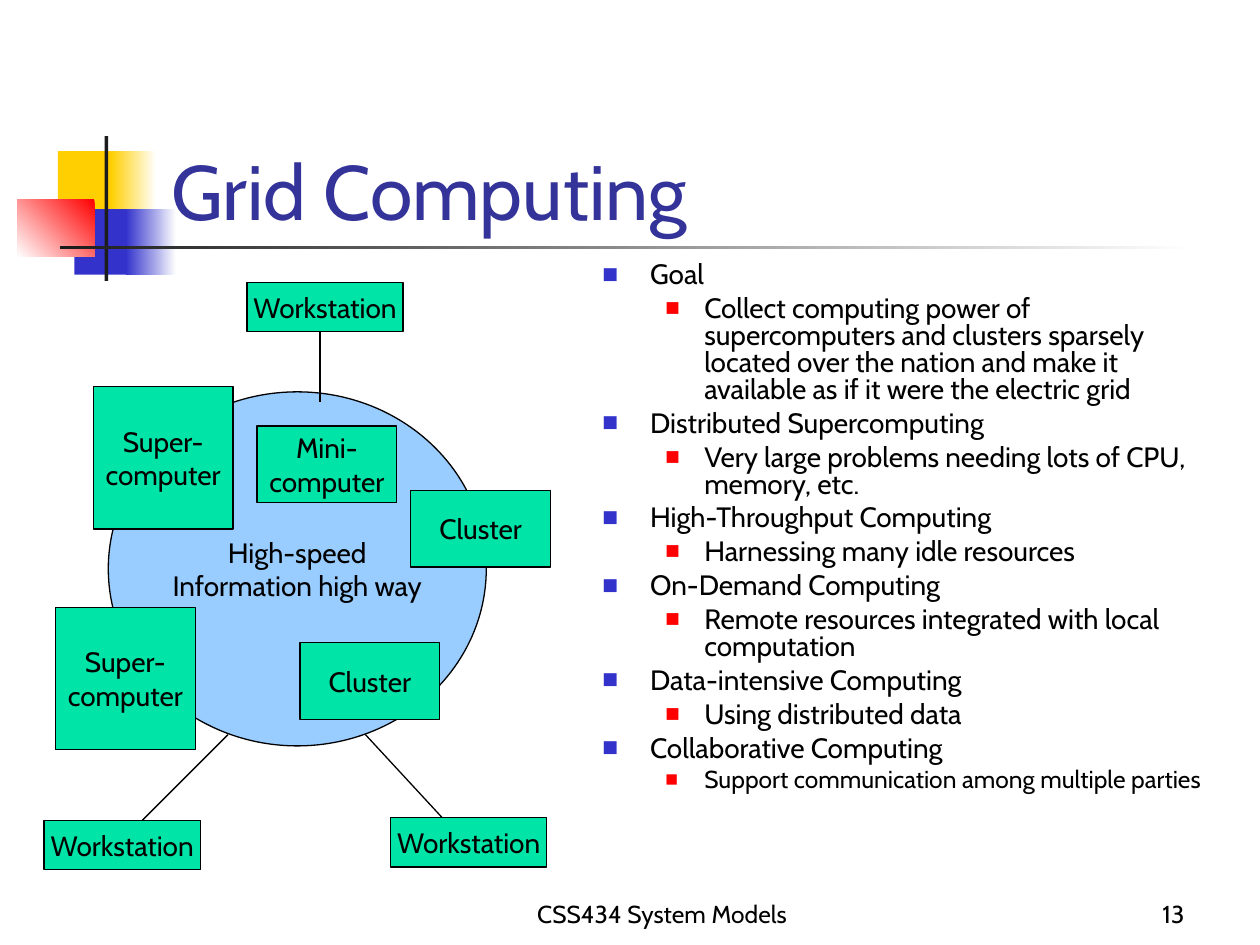
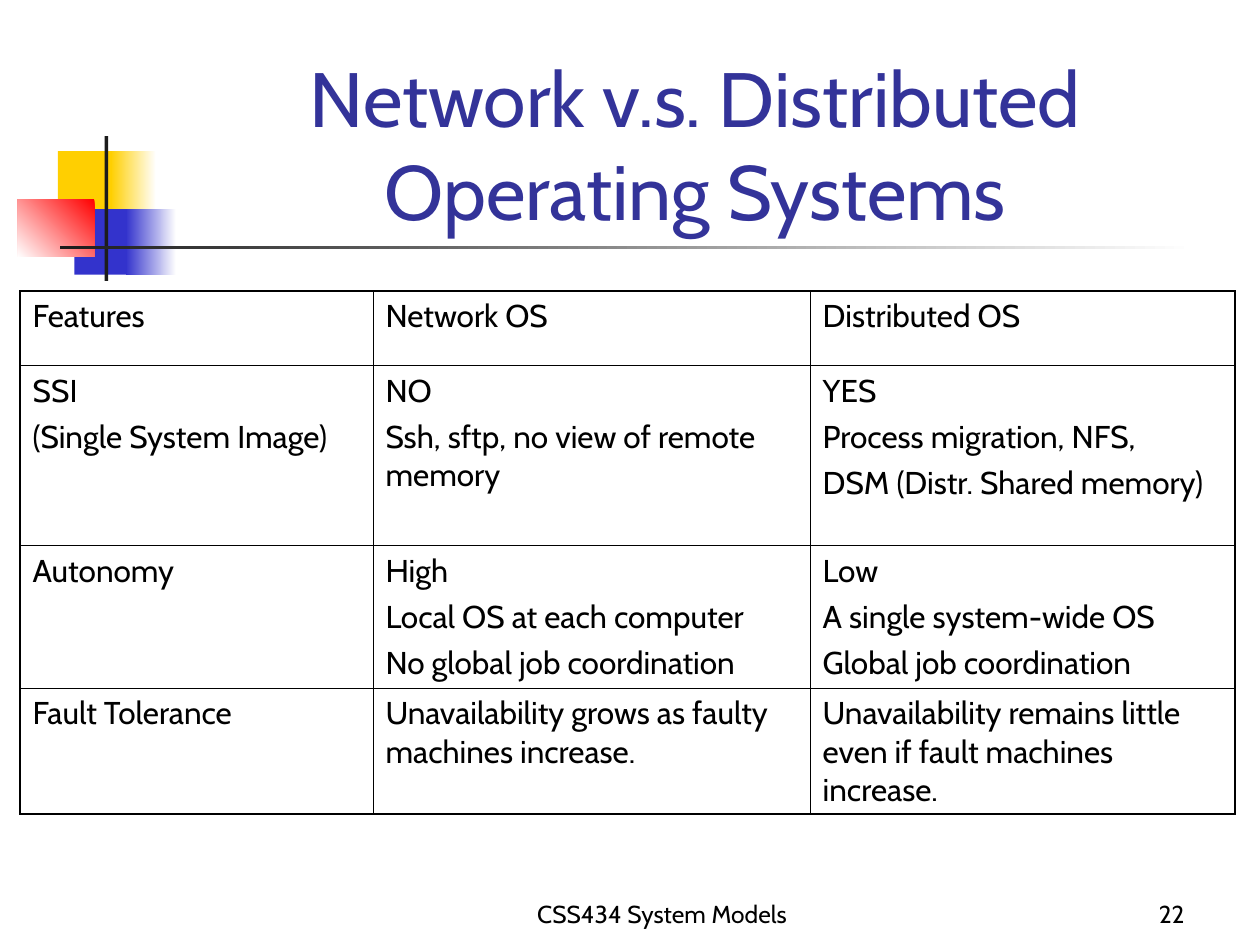
"""Build two lecture slides: a grid computing diagram and an OS comparison table."""
from lxml.etree import SubElement
from pptx import Presentation
from pptx.dml.color import RGBColor
from pptx.enum.shapes import MSO_CONNECTOR, MSO_SHAPE
from pptx.enum.text import MSO_ANCHOR, MSO_AUTO_SIZE, PP_ALIGN
from pptx.oxml import parse_xml
from pptx.oxml.ns import nsdecls, qn
from pptx.util import Inches, Pt

FONT = "Cabin"
HUES = {
    "black": "000000", "white": "FFFFFF", "title": "333399", "gold": "FFCF01",
    "blue": "3333CC", "red": "FF0000", "ink": "1C1C1C", "sky": "99CCFF", "green": "00E4A8",
}
COLS, ROWS = 10, 7.5

deck = Presentation()
deck.slide_width, deck.slide_height = Inches(10), Inches(7.5)
col, row = deck.slide_width / COLS, deck.slide_height / ROWS


def span(left, top, wide, high):
    return round(left * col), round(top * row), round(wide * col), round(high * row)


def write(frame, text, size, hue="black", align=PP_ALIGN.LEFT, gap=0):
    frame.text = text
    for spot, para in enumerate(frame.paragraphs):
        para.alignment = align
        para.space_before = Pt(gap if spot else 0)
        for run in para.runs:
            run.font.name, run.font.size = FONT, Pt(size)
            run.font.color.rgb = RGBColor.from_string(HUES[hue])


heads = [
    ("Grid Computing", "13", 1, PP_ALIGN.LEFT),
    ("Network v.s. Distributed\u0020Operating Systems", "22", 5, PP_ALIGN.CENTER),
]
slides = []
for title, page, kind, align in heads:
    slide = deck.slides.add_slide(deck.slide_layouts[kind])
    slides.append(slide)
    head = slide.shapes.title
    head.left, head.top, head.width, head.height = span(1.26, 0.67, 8.52, 1.25)
    write(head.text_frame, title, 44, "title", align)
    head.text_frame.auto_size = MSO_AUTO_SIZE.NONE
    head.text_frame.vertical_anchor = MSO_ANCHOR.BOTTOM
    for left, wide, text, side in [
        (3.67, 3.17, "CSS434 System Models", PP_ALIGN.CENTER),
        (7.42, 2.08, page, PP_ALIGN.RIGHT),
    ]:
        foot = slide.shapes.add_textbox(*span(left, 6.92, wide, 0.5)).text_frame
        foot.word_wrap = True
        foot.vertical_anchor = MSO_ANCHOR.BOTTOM
        write(foot, text, 14, align=side)

grid, match = slides

bands = [
    ((0.46, 1.2, 0.48, 0.52), ["gold"], 0),
    ((0.88, 1.2, 0.36, 0.52), ["white", "gold"], 180),
    ((0.59, 1.66, 0.46, 0.52), ["blue"], 0),
    ((1, 1.66, 0.4, 0.52), ["white", "blue"], 180),
    ((0.14, 1.58, 0.61, 0.46), ["red", "white"], 225),
    ((0.83, 1.08, 0.03, 1.15), ["ink"], 0),
    ((0.48, 1.95, 9, 0.03), ["white", "ink"], 180),
]
for mark, (box, tones, angle) in enumerate(bands, 20):
    band = grid.shapes.add_shape(MSO_SHAPE.RECTANGLE, *span(*box))
    band.shadow.inherit = False
    band.line.fill.background()
    if angle:
        band.fill.gradient()
        band.fill.gradient_angle = angle
        for stop, tone in zip(band.fill.gradient_stops, tones):
            stop.color.rgb = RGBColor.from_string(HUES[tone])
    else:
        band.fill.solid()
        band.fill.fore_color.rgb = RGBColor.from_string(HUES[tones[0]])
    band.element.nvSpPr.cNvPr.set("id", str(mark))
    deck.slide_master.shapes.element.append(band.element)

points = [
    ("Goal", "Collect computing power of supercomputers and clusters sparsely "
     "located over the nation and make it available as if it were the electric grid"),
    ("Distributed Supercomputing", "Very large problems needing lots of CPU, memory, etc."),
    ("High-Throughput Computing", "Harnessing many idle resources"),
    ("On-Demand Computing", "Remote resources integrated with local computation"),
    ("Data-intensive Computing", "Using distributed data"),
    ("Collaborative Computing", "Support communication among multiple parties"),
]
body = grid.placeholders[1]
body.left, body.top, body.width, body.height = span(4.68, 2.04, 5.1, 4.89)
write(body.text_frame, "\n".join(line for pair in points for line in pair), 16, gap=4)
body.text_frame.auto_size = MSO_AUTO_SIZE.NONE
levels = [(0.38, -0.38, "blue", 60), (0.81, -0.31, "red", 55)]
for spot, para in enumerate(body.text_frame.paragraphs):
    para.level = spot % 2
    para.line_spacing = 0.8
    edge, dent, hue, size = levels[para.level]
    props = para._p.get_or_add_pPr()
    props.set("marL", str(round(edge * col)))
    props.set("indent", str(round(dent * col)))
    tint = SubElement(props, qn("a:buClr"))
    SubElement(tint, qn("a:srgbClr")).set("val", HUES[hue])
    SubElement(props, qn("a:buSzPct")).set("val", str(size * 1000))
    SubElement(props, qn("a:buFont")).set("typeface", FONT)
    SubElement(props, qn("a:buChar")).set("char", "■")
para.space_before = Pt(3.5)
para.runs[0].font.size = Pt(14)

large, small, flat = (1.11, 1.13), (1.11, 0.61), (1.24, 0.39)
nodes = [
    ("High-speed\nInformation high way", 0.86, 3.11, (3, 2.81)),
    ("Super-\ncomputer", 0.74, 3.07, large),
    ("Cluster", 3.26, 3.89, small),
    ("Super-\ncomputer", 0.44, 4.82, large),
    ("Cluster", 2.38, 5.1, small),
    ("Mini-\ncomputer", 2.04, 3.38, small),
    ("Workstation", 1.96, 2.24, flat),
    ("Workstation", 0.35, 6.51, flat),
    ("Workstation", 3.1, 6.49, flat),
]
for spot, (text, left, top, size) in enumerate(nodes):
    form, hue = (MSO_SHAPE.RECTANGLE, "green") if spot else (MSO_SHAPE.OVAL, "sky")
    node = grid.shapes.add_shape(form, *span(left, top, *size))
    node.shadow.inherit = False
    node.fill.solid()
    node.fill.fore_color.rgb = RGBColor.from_string(HUES[hue])
    node.line.color.rgb = RGBColor.from_string(HUES["black"])
    node.line.width = Pt(0.75)
    node.text_frame.word_wrap = False
    node.text_frame.vertical_anchor = MSO_ANCHOR.MIDDLE
    write(node.text_frame, text, 16, align=PP_ALIGN.CENTER)

links = [(3.51, 6.49, 2.9, 5.83), (2.54, 2.63, 2.54, 3.19), (1.81, 5.83, 1.13, 6.51)]
for ends in links:
    link = grid.shapes.add_connector(MSO_CONNECTOR.STRAIGHT, *span(*ends))
    link.line.color.rgb = RGBColor.from_string(HUES["black"])
    link.line.width = Pt(0.75)
    SubElement(link.element.spPr, qn("a:effectLst"))

cells = [
    ["Features", "Network OS", "Distributed OS"],
    ["SSI\n(Single System Image)", "NO\nSsh, sftp, no view of remote memory",
     "YES\nProcess migration, NFS,\nDSM (Distr. Shared memory)"],
    ["Autonomy", "High\nLocal OS at each computer\nNo global job coordination",
     "Low\nA single system-wide OS\nGlobal job coordination"],
    ["Fault Tolerance", "Unavailability grows as faulty machines increase.",
     "Unavailability remains little even if fault machines increase."],
]
widths, heights = [2.8, 3.47, 3.37], [0.59, 1.43, 1.13, 1]
table = match.shapes.add_table(
    len(heights), len(widths), *span(0.16, 2.31, sum(widths), sum(heights))).table
table.first_row = table.horz_banding = False
for part, wide in zip(table.columns, widths):
    part.width = round(wide * col)
for part, high in zip(table.rows, heights):
    part.height = round(high * row)
for down, line in enumerate(cells):
    for over, text in enumerate(line):
        cell = table.cell(down, over)
        write(cell.text_frame, text, 18, gap=4.5)
        rims = {"L": over == 0, "R": over == len(widths) - 1,
                "T": down == 0, "B": down == len(heights) - 1}
        props = cell._tc.get_or_add_tcPr()
        for side, rim in rims.items():
            props.append(parse_xml(
                f'<a:ln{side} {nsdecls("a")} w="{Pt(1.08 if rim else 0.45)}"><a:solidFill>'
                f'<a:srgbClr val="{HUES["black"]}"/></a:solidFill></a:ln{side}>'))
        cell.fill.background()

deck.save("out.pptx")
